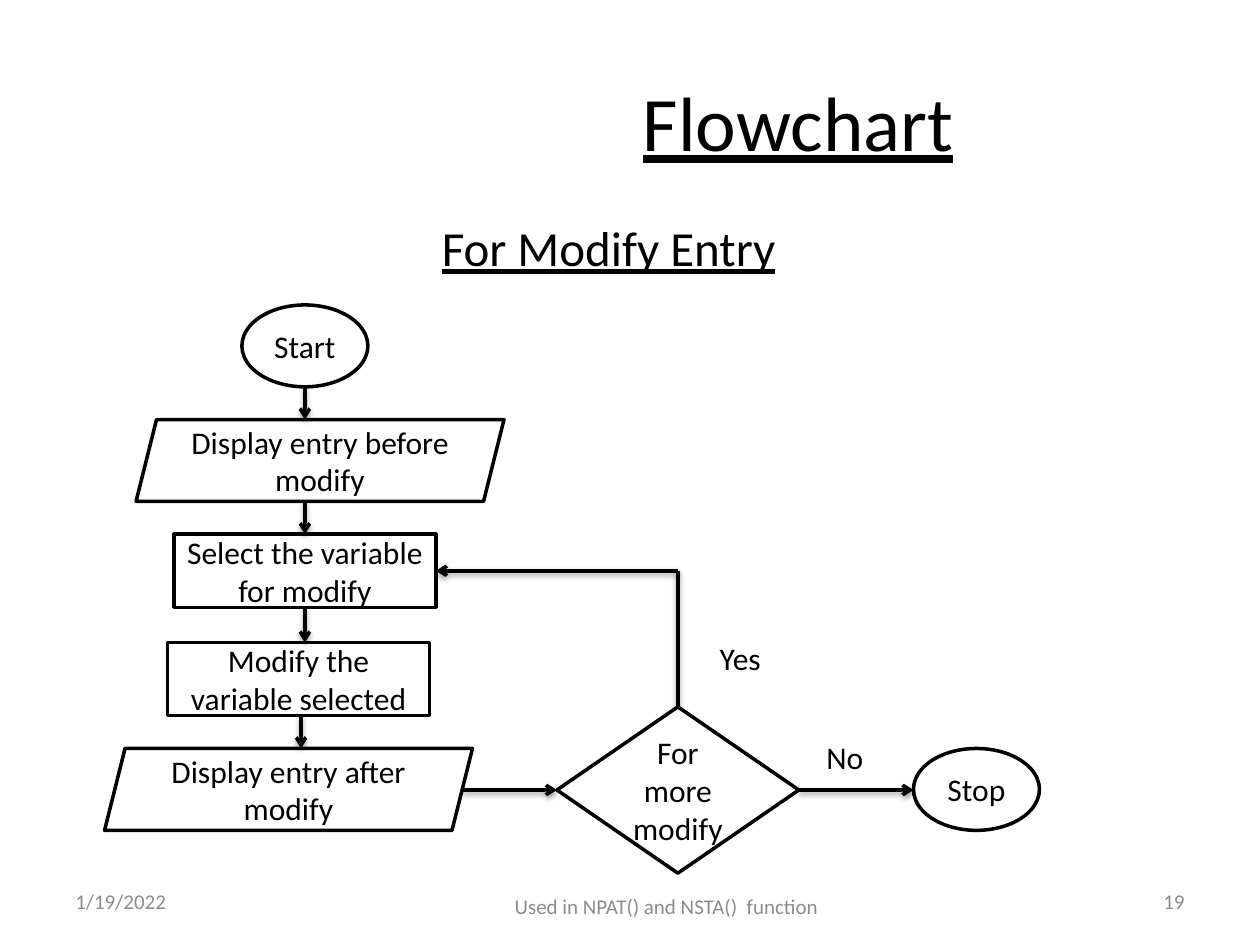
import pptx
import pptx.dml.color
import pptx.enum.shapes
import pptx.enum.text
import pptx.oxml
import pptx.util
from pptx.util import Inches

COLORS = {"paper": "FFFFFF", "ink": "000000", "footer": "8C8C8C"}
FONT = "Calibri"
SHAPE = pptx.enum.shapes.MSO_SHAPE
ALIGN = pptx.enum.text.PP_ALIGN
ANCHOR = pptx.enum.text.MSO_ANCHOR
DRAWING_NS = 'xmlns:a="http://schemas.openxmlformats.org/drawingml/2006/main"'
ARROWHEAD = f'<a:tailEnd {DRAWING_NS} type="arrow"/>'
LINE_SHADOW = (
    f'<a:effectLst {DRAWING_NS}><a:outerShdw blurRad="40000" dist="20000" dir="5400000"'
    ' rotWithShape="0"><a:srgbClr val="000000"><a:alpha val="38000"/></a:srgbClr>'
    '</a:outerShdw></a:effectLst>'
)


def rgb(name):
    return pptx.dml.color.RGBColor.from_string(COLORS[name])


def write_text(box, text, size, color="ink", align=ALIGN.CENTER, underline=False):
    frame = box.text_frame
    frame.word_wrap = True
    frame.vertical_anchor = ANCHOR.MIDDLE
    frame.text = text
    para = frame.paragraphs[0]
    para.alignment = align
    font = para.runs[0].font
    font.name, font.size = FONT, pptx.util.Pt(size)
    font.color.rgb = rgb(color)
    if underline:
        font.underline = True


def add_box(page, kind, bounds, text, size=18, outline="ink", underline=False):
    box = page.shapes.add_shape(kind, *(Inches(value) for value in bounds))
    box.shadow.inherit = False
    box.fill.solid()
    box.fill.fore_color.rgb = rgb("paper")
    box.line.color.rgb = rgb(outline)
    box.line.width = pptx.util.Pt(2)
    write_text(box, text, size, underline=underline)
    return box


def add_line(page, start, end, begin_at=None, end_at=None, arrow=True):
    """Draw a line; begin_at and end_at are optional (shape, side) joints."""
    line = page.shapes.add_connector(
        pptx.enum.shapes.MSO_CONNECTOR.STRAIGHT,
        *(Inches(value) for value in (*start, *end)))
    if begin_at:
        line.begin_connect(*begin_at)
    if end_at:
        line.end_connect(*end_at)
    line.line.color.rgb = rgb("ink")
    line.line.width = pptx.util.Pt(2)
    if arrow:
        line.line._get_or_add_ln().append(pptx.oxml.parse_xml(ARROWHEAD))
    line._element.spPr.append(pptx.oxml.parse_xml(LINE_SHADOW))


def add_footer(page, left, top):
    parts = [
        (0, 0, 2.33, "1/19/2022", ALIGN.LEFT),
        (2.96, 0.04, 3.66, "Used in NPAT() and NSTA()  function", ALIGN.CENTER),
        (6.67, 0, 2.33, "19", ALIGN.RIGHT),
    ]
    for x, y, width, text, align in parts:
        box = page.shapes.add_textbox(
            Inches(left + x), Inches(top + y), Inches(width), Inches(0.4))
        write_text(box, text, 12, "footer", align)


def add_headings(page, left, top):
    add_box(page, SHAPE.RECTANGLE, (left + 2.88, top, 6.67, 1.25),
            "Flowchart", 44, "paper", True)
    panel = add_box(page, SHAPE.RECTANGLE, (left, top + 1.3, 9.42, 5),
                    "For Modify Entry", 28, "paper", True)
    panel.text_frame.vertical_anchor = ANCHOR.TOP
    panel.text_frame.margin_top = Inches(0.1)


def add_flowchart(page, left, top):
    def at(x, y):
        return left + x, top + y

    terminal, data, process, label = (1, 0.65), (2.92, 0.65), (2.08, 0.58), (0.75, 0.33)

    # Steps
    add_box(page, SHAPE.OVAL, at(1.09, 0) + terminal, "Start")
    add_box(page, SHAPE.PARALLELOGRAM, at(0.25, 0.91) + data, "Display entry before modify")
    select = add_box(page, SHAPE.RECTANGLE, at(0.55, 1.82) + process,
                     "Select the variable for modify")
    add_box(page, SHAPE.RECTANGLE, at(0.5, 2.68) + process, "Modify the variable selected")
    add_box(page, SHAPE.PARALLELOGRAM, at(0, 3.52) + data, "Display entry after modify")
    decision = add_box(page, SHAPE.DIAMOND, at(3.59, 3.19) + (1.92, 1.32), "For more modify")
    add_box(page, SHAPE.OVAL, at(6.42, 3.52) + terminal, "Stop")

    # Downward path
    add_line(page, at(1.59, 0.65), at(1.59, 0.91))
    add_line(page, at(1.59, 1.56), at(1.59, 1.82), end_at=(select, 0))
    add_line(page, at(1.59, 2.4), at(1.59, 2.68), begin_at=(select, 2))
    add_line(page, at(1.56, 3.26), at(1.56, 3.52))

    # Decision, loop back and exit
    add_line(page, at(2.84, 3.85), at(3.59, 3.85), end_at=(decision, 1))
    add_line(page, at(4.55, 3.19), at(4.55, 2.11), begin_at=(decision, 0), arrow=False)
    add_line(page, at(4.55, 2.11), at(2.63, 2.11), end_at=(select, 3))
    add_line(page, at(5.51, 3.85), at(6.42, 3.85), begin_at=(decision, 3))

    # Branch labels
    for x, y, text in ((4.67, 2.64, "Yes"), (5.5, 3.42, "No")):
        add_box(page, SHAPE.RECTANGLE, at(x, y) + label, text, outline="paper")


def main():
    deck = pptx.Presentation()
    deck.slide_width, deck.slide_height = Inches(10), Inches(7.5)
    page = deck.slides.add_slide(deck.slide_layouts[6])
    add_footer(page, 0.5, 6.95)
    add_headings(page, 0.12, 0.33)
    add_flowchart(page, 0.83, 2.42)
    deck.save("out.pptx")


if __name__ == "__main__":
    main()
